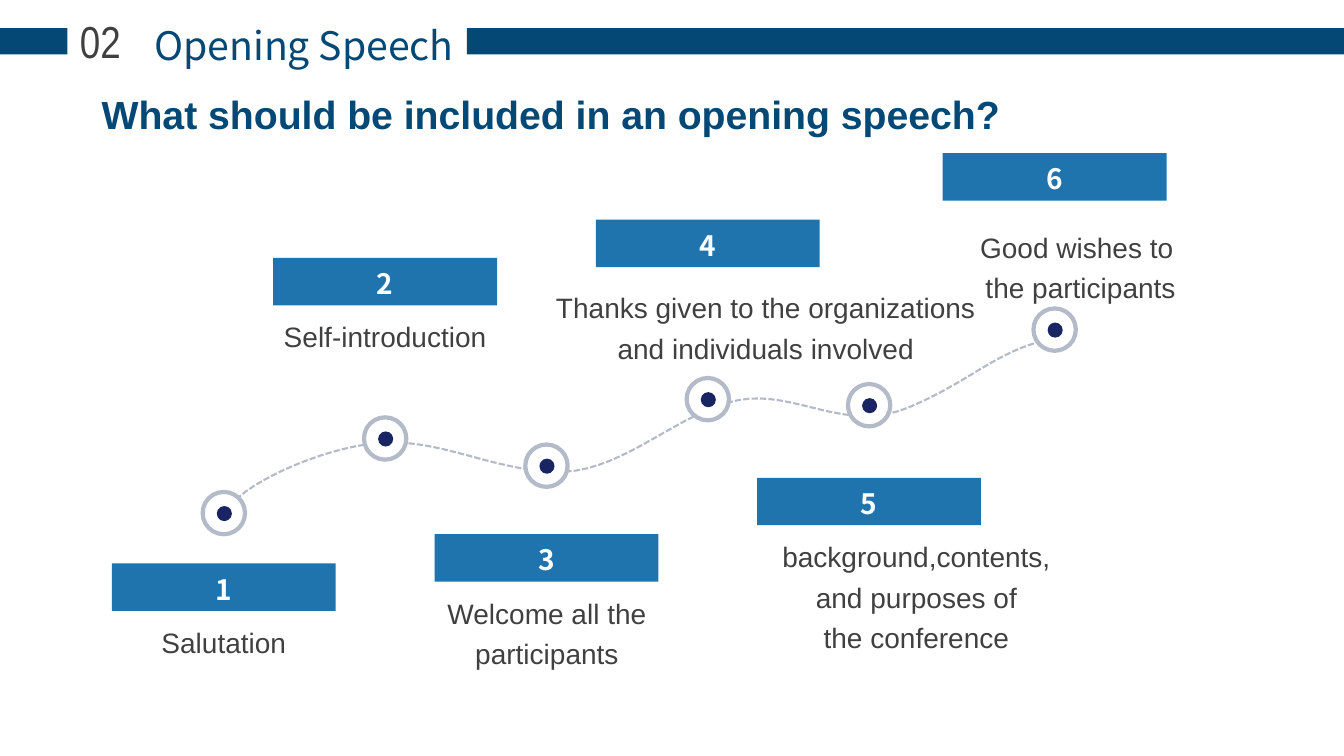
import pptx
import pptx.util
import pptx.dml.color
import pptx.enum.dml
import pptx.enum.shapes
import pptx.enum.text

Inches = pptx.util.Inches
Kind = pptx.enum.shapes.MSO_SHAPE
Align = pptx.enum.text.PP_ALIGN
Anchor = pptx.enum.text.MSO_ANCHOR
Fit = pptx.enum.text.MSO_AUTO_SIZE

NAVY, BLUE, GREY, DARK, WHITE, DOT = "044875", "1F74AD", "B3BAC8", "404040", "FFFFFF", "192562"
SANS, NOTO = "Arial", "Noto Sans CJK SC"
STEP = 1.6

STAGES = [
    ("1", (1.11, 5.59), 4.88, "Salutation", (1.11, 6.09, 2.22, 0.6)),
    ("2", (2.71, 2.56), 4.14, "Self-introduction", (2.71, 3.05, 2.22, 0.58)),
    ("3", (4.31, 5.3), 4.41, "Welcome all the participants", (4.21, 5.8, 2.43, 1.05)),
    ("4", (5.91, 2.18), 3.75, "Thanks given to the organizations and individuals involved",
     (5.35, 2.77, 4.49, 0.86)),
    ("5", (7.51, 4.74), 3.81, "background,contents, and purposes of the\u00a0conference",
     (7.51, 5.24, 3.16, 1.23)),
    ("6", (9.35, 1.52), 3.06, "Good wishes to\n the participants", (9.05, 2.17, 3.26, 0.88)),
]

START = (2.29, 5.02)
CURVES = [
    ((2.44, 4.78), (3.3, 4.39), (3.87, 4.39)),
    ((4.44, 4.38), (4.98, 4.7), (5.6, 4.68)),
    ((6.21, 4.65), (6.75, 4.08), (7.32, 3.97)),
    ((7.9, 3.86), (8.39, 4.32), (9.04, 4.03)),
    ((9.69, 3.75), (9.91, 3.44), (10.54, 3.34)),
]


def tint(code):
    """Turn a hex string into a colour."""
    return pptx.dml.color.RGBColor.from_string(code)


def write(frame, text, size=20, font=SANS, color=DARK, bold=False,
          align=Align.CENTER, space=None, track=0, anchor=Anchor.TOP, fit=Fit.NONE):
    """Fill a text frame, one paragraph for each line of text."""
    frame.word_wrap = True
    frame.auto_size = fit
    frame.vertical_anchor = anchor
    for i, line in enumerate(text.split("\n")):
        para = frame.paragraphs[0] if i == 0 else frame.add_paragraph()
        para.alignment = align
        para.line_spacing = space
        run = para.add_run()
        run.text = line
        run.font.size = pptx.util.Pt(size)
        run.font.name = font
        run.font.bold = bold
        run.font.color.rgb = tint(color)
        if track:
            run._r.get_or_add_rPr().set("spc", str(track * 100))


def label(slide, text, box, **style):
    """Add a text box."""
    shape = slide.shapes.add_textbox(*map(Inches, box))
    write(shape.text_frame, text, **style)


def block(slide, kind, box, fill, edge=None):
    """Add a flat shape, outlined if an edge colour is given."""
    shape = slide.shapes.add_shape(kind, *map(Inches, box))
    shape.shadow.inherit = False
    shape.fill.solid()
    shape.fill.fore_color.rgb = tint(fill)
    if edge:
        shape.line.color.rgb = tint(edge)
        shape.line.width = pptx.util.Pt(3)
    else:
        shape.line.fill.background()
    return shape


def trace(start, curves, count=16):
    """List points along a chain of cubic curves."""
    points = []
    for one, two, end in curves:
        for i in range(1, count + 1):
            t = i / count
            u = 1 - t
            points.append(tuple(
                Inches(u**3 * a + 3 * u * u * t * b + 3 * u * t * t * c + t**3 * d)
                for a, b, c, d in zip(start, one, two, end)))
        start = end
    return points


def trail(slide):
    """Draw the dashed path behind the markers."""
    pen = slide.shapes.build_freeform(*map(Inches, START))
    pen.add_line_segments(trace(START, CURVES), close=False)
    path = pen.convert_to_shape()
    path.shadow.inherit = False
    path.fill.background()
    path.line.color.rgb = tint(GREY)
    path.line.width = pptx.util.Pt(1.5)
    path.line.dash_style = pptx.enum.dml.MSO_LINE.SQUARE_DOT


def marker(slide, left, top):
    """Draw a ring with a dot in its middle."""
    block(slide, Kind.OVAL, (left, top, 0.42, 0.42), WHITE, GREY)
    block(slide, Kind.OVAL, (left + 0.14, top + 0.14, 0.15, 0.15), DOT)


def header(slide):
    """Add the bars, section number and titles."""
    for left, width in ((0, 0.67), (4.63, 8.7)):
        block(slide, Kind.RECTANGLE, (left, 0.28, width, 0.26), NAVY)
    grow = Fit.SHAPE_TO_FIT_TEXT
    label(slide, "Opening Speech", (1.29, 0.16, 3.45, 0.57),
          size=28, font=NOTO, color=NAVY, fit=grow)
    label(slide, "02", (0.6, 0.09, 0.79, 0.64), size=32, font="Arial Narrow", fit=grow)
    label(slide, "What should be included in an opening speech?", (0.91, 0.85, 9.34, 0.57),
          size=28, color=NAVY, bold=True, align=Align.LEFT, fit=grow)


def main():
    """Build and save the slide."""
    deck = pptx.Presentation()
    deck.slide_width, deck.slide_height = Inches(13.33), Inches(7.5)
    slide = deck.slides.add_slide(deck.slide_layouts[6])
    header(slide)
    trail(slide)
    for i, (digit, spot, top, text, box) in enumerate(STAGES):
        marker(slide, 10.25 if digit == "6" else 2.01 + i * STEP, top)
        plate = block(slide, Kind.RECTANGLE, (*spot, 2.22, 0.47), BLUE)
        write(plate.text_frame, digit, font=NOTO, color=WHITE, bold=True,
              space=1.1, track=3, anchor=Anchor.MIDDLE)
        label(slide, text, box, space=1.2)
    deck.save("out.pptx")


if __name__ == "__main__":
    main()
